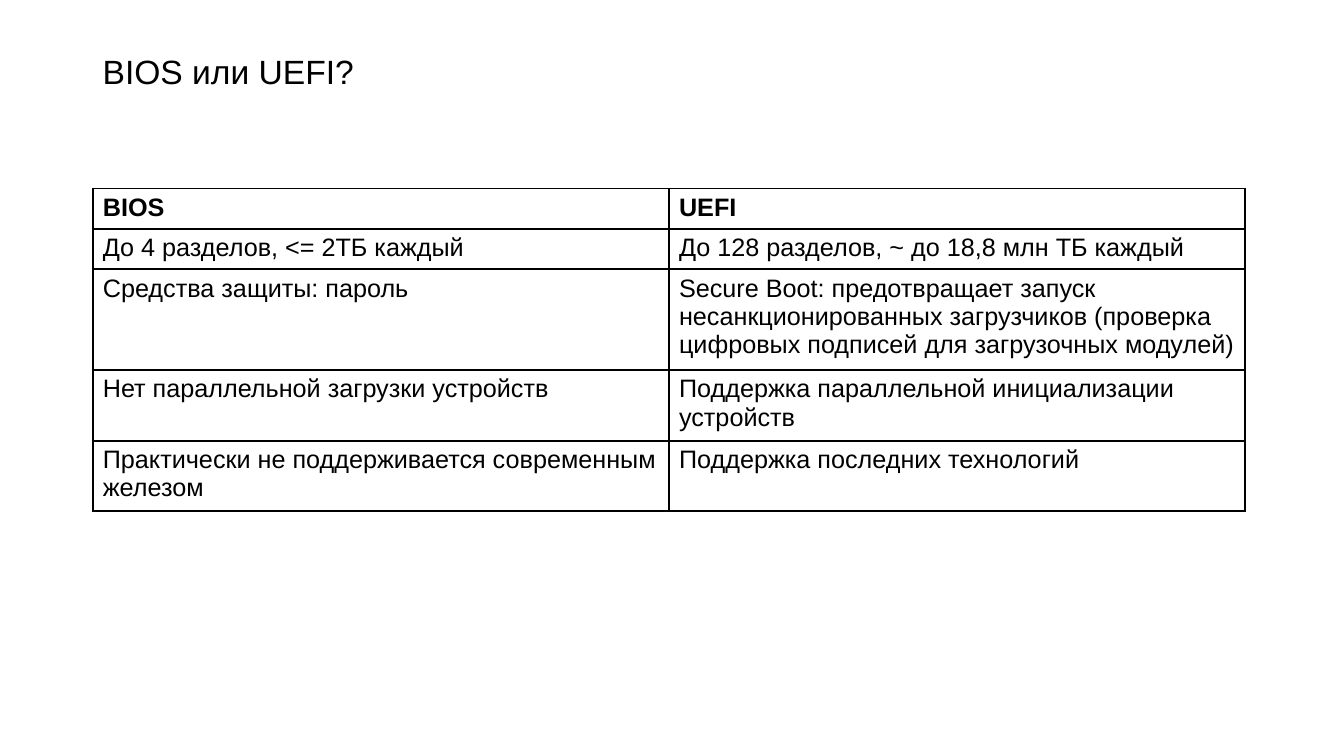
from lxml.etree import SubElement
from pptx import Presentation
from pptx.dml.color import RGBColor
from pptx.enum.text import MSO_ANCHOR
from pptx.oxml.ns import qn
from pptx.util import Inches, Pt

COLORS = {"ink": "000000", "paper": "FFFFFF"}
TITLE_FONT = {"name": "Arial", "size": Pt(24), "bold": False}
HEADER_FONT = {"name": "Arial", "size": Pt(18), "bold": True}
BODY_FONT = {**HEADER_FONT, "bold": False}
BORDER_WIDTH = Pt(1.5)
ROW_HEIGHT = 0.4

COMPARISON = [
    ("BIOS", "UEFI"),
    ("До 4 разделов, <= 2ТБ каждый", "До 128 разделов, ~ до 18,8 млн ТБ каждый"),
    (
        "Средства защиты: пароль",
        "Secure Boot: предотвращает запуск несанкционированных загрузчиков "
        "(проверка цифровых подписей для загрузочных модулей)",
    ),
    ("Нет параллельной загрузки устройств", "Поддержка параллельной инициализации устройств"),
    ("Практически не поддерживается современным железом", "Поддержка последних технологий"),
]


def write(frame, text, font_format):
    paragraph = frame.paragraphs[0]
    run = paragraph.add_run()
    run.text = text
    for attribute, value in font_format.items():
        setattr(run.font, attribute, value)
    run.font.color.rgb = RGBColor.from_string(COLORS["ink"])
    return paragraph


def outline(cell):
    properties = cell._tc.get_or_add_tcPr()
    for position, side in enumerate(("a:lnL", "a:lnR", "a:lnT", "a:lnB")):
        border = SubElement(properties, qn(side), w=str(BORDER_WIDTH))
        ink = SubElement(SubElement(border, qn("a:solidFill")), qn("a:srgbClr"))
        ink.set("val", COLORS["ink"])
        properties.insert(position, border)


def add_title(slide, text, left, top, width, height):
    heading = slide.shapes.add_textbox(Inches(left), Inches(top), Inches(width), Inches(height))
    frame = heading.text_frame
    frame.word_wrap = True
    frame.vertical_anchor = MSO_ANCHOR.MIDDLE
    write(frame, text, TITLE_FONT).line_spacing = 0.9


def add_comparison(slide, rows, left, top, width):
    comparison = slide.shapes.add_table(
        len(rows), len(rows[0]), Inches(left), Inches(top),
        Inches(width), Inches(ROW_HEIGHT * len(rows)),
    ).table
    for row_index, row in enumerate(rows):
        for column_index, text in enumerate(row):
            cell = comparison.cell(row_index, column_index)
            cell.fill.solid()
            cell.fill.fore_color.rgb = RGBColor.from_string(COLORS["paper"])
            outline(cell)
            write(cell.text_frame, text, BODY_FONT if row_index else HEADER_FONT)


def main():
    presentation = Presentation()
    presentation.slide_width = Inches(13.33)
    presentation.slide_height = Inches(7.5)
    slide = presentation.slides.add_slide(presentation.slide_layouts[6])
    add_title(slide, "BIOS или UEFI?", 0.92, 0.4, 11.5, 0.66)
    add_comparison(slide, COMPARISON, 0.92, 1.87, 11.43)
    presentation.save("out.pptx")


if __name__ == "__main__":
    main()
